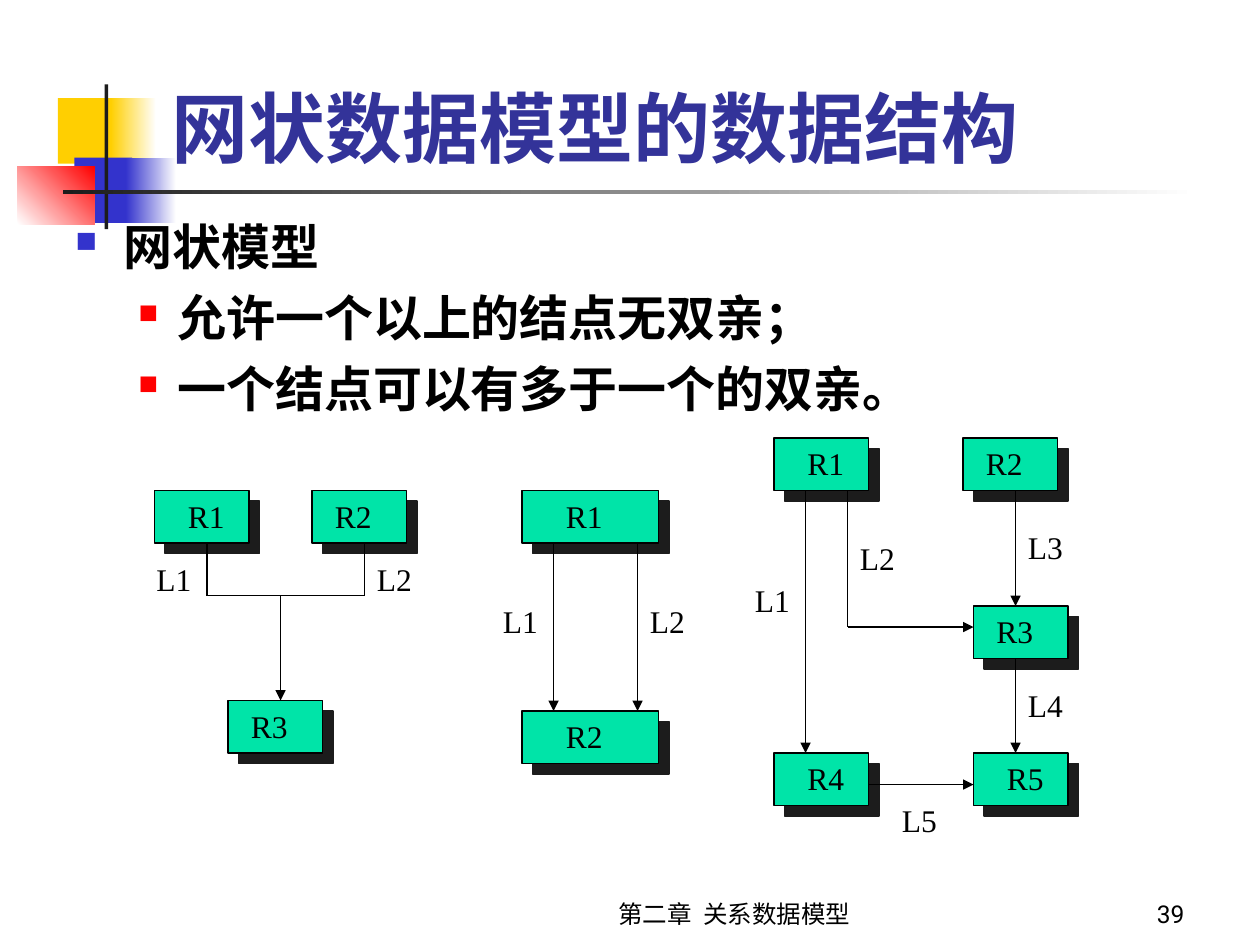
import dataclasses

import lxml.etree
import pptx
import pptx.dml.color
import pptx.enum.shapes
import pptx.enum.text
import pptx.oxml
import pptx.oxml.ns
import pptx.util

ALIGN = pptx.enum.text.PP_ALIGN
ANCHOR = pptx.enum.text.MSO_ANCHOR
qn = pptx.oxml.ns.qn


@dataclasses.dataclass(frozen=True)
class Theme:
    title: str = "333399"
    ink: str = "000000"
    dark: str = "1C1C1C"
    yellow: str = "FFCF01"
    blue: str = "3333CC"
    red: str = "FF0000"
    white: str = "FFFFFF"
    record: str = "00E4A8"
    serif: str = "Times New Roman"
    sans: str = "Roboto"
    title_size: int = 44
    body_size: int = 28
    label_size: int = 18
    footer_size: int = 14
    line: float = 0.75


class SlideBuilder:
    CELL, ORIGIN = 1 / 12, 0.06  # diagram grid, inches
    RECORD_H = 5

    def __init__(self, prs, theme):
        self.prs, self.t = prs, theme
        self.s = prs.slides.add_slide(prs.slide_layouts[5])

    def share(self, x, y, w, h):
        """Percentages of the slide's width and height."""
        sw, sh = self.prs.slide_width / 100, self.prs.slide_height / 100
        return [int(v) for v in (x * sw, y * sh, w * sw, h * sh)]

    def at(self, n):
        return pptx.util.Inches(self.ORIGIN + n * self.CELL)

    def span(self, n):
        return pptx.util.Inches(n * self.CELL)

    def rgb(self, colour):
        return pptx.dml.color.RGBColor.from_string(colour)

    def add_text(self, p, text, colour=None, **font):
        r = p.add_run()
        r.text = text
        for name, value in font.items():
            setattr(r.font, name, value)
        r.font.color.rgb = self.rgb(colour or self.t.ink)

    def frame(self, sp, anchor=ANCHOR.TOP):
        tf = sp.text_frame
        settings = {"word_wrap": True, "vertical_anchor": anchor,
                    "auto_size": pptx.enum.text.MSO_AUTO_SIZE.NONE}
        for name, value in settings.items():
            setattr(tf, name, value)
        return tf

    def title(self, text, box):
        sp = self.s.shapes.title
        for name, value in zip(("left", "top", "width", "height"), self.share(*box)):
            setattr(sp, name, value)
        p = self.frame(sp, ANCHOR.BOTTOM).paragraphs[0]
        p.alignment = ALIGN.LEFT
        self.add_text(p, text, self.t.title, name=self.t.serif, bold=True,
                      size=pptx.util.Pt(self.t.title_size))
        sp._element.getparent().append(sp._element)  # in front of the ornament

    def rect(self, box, colour):
        sp = self.s.shapes.add_shape(pptx.enum.shapes.MSO_SHAPE.RECTANGLE, *box)
        sp.shadow.inherit = False
        sp.fill.solid()
        sp.fill.fore_color.rgb = self.rgb(colour)
        sp.line.fill.background()
        return sp

    def ornament(self, box, start, end=None, angle=0):
        sp = self.rect(self.share(*box), start)
        if end:
            sp.fill.gradient()
            sp.fill.gradient_angle = angle
            for stop, colour, pos in zip(sp.fill.gradient_stops, (start, end), (0, 1)):
                stop.color.rgb = self.rgb(colour)
                stop.position = pos

    def bullets(self, box, items):
        tf = self.frame(self.s.shapes.add_textbox(*self.share(*box)))
        # level: bullet colour, bullet size, left margin, hanging indent, alignment
        levels = [(self.t.blue, 60, 0.38, 0.38, ALIGN.LEFT),
                  (self.t.red, 55, 0.81, 0.31, ALIGN.JUSTIFY)]
        for i, (level, text) in enumerate(items):
            colour, size, margin, hang, align = levels[level]
            p = tf.paragraphs[0] if i == 0 else tf.add_paragraph()
            p.level, p.alignment = level, align
            if i:
                p.space_before = pptx.util.Pt(7)
            pPr = p._p.get_or_add_pPr()
            pPr.set("marL", str(pptx.util.Inches(margin)))
            pPr.set("indent", str(-pptx.util.Inches(hang)))
            clr = lxml.etree.SubElement(pPr, qn("a:buClr"))
            lxml.etree.SubElement(clr, qn("a:srgbClr"), val=colour)
            lxml.etree.SubElement(pPr, qn("a:buSzPct"), val=str(size * 1000))
            lxml.etree.SubElement(pPr, qn("a:buChar"), char="■")
            self.add_text(p, text, name=self.t.serif, bold=True,
                          size=pptx.util.Pt(self.t.body_size))

    def footer(self, box, text, align):
        sp = self.s.shapes.add_textbox(*self.share(*box))
        p = self.frame(sp, ANCHOR.BOTTOM).paragraphs[0]
        p.alignment = align
        self.add_text(p, text, name=self.t.sans, size=pptx.util.Pt(self.t.footer_size))

    def record(self, x, y, w):
        box = self.at(x), self.at(y), self.span(w), self.span(self.RECORD_H)
        sp = self.rect(box, self.t.record)
        sp.line.color.rgb = self.rgb(self.t.ink)
        sp.line.width = pptx.util.Pt(self.t.line)
        effects = sp._element.spPr.find(qn("a:effectLst"))
        shadow = lxml.etree.SubElement(
            effects, qn("a:outerShdw"), dist=str(pptx.util.Pt(8.5)),
            dir=str(45 * 60000), algn="ctr", rotWithShape="0")
        lxml.etree.SubElement(shadow, qn("a:srgbClr"), val=self.t.dark)

    def link(self, x1, y1, x2, y2, arrow=True):
        c = self.s.shapes.add_connector(
            pptx.enum.shapes.MSO_CONNECTOR.STRAIGHT, *map(self.at, (x1, y1, x2, y2)))
        c.line.color.rgb = self.rgb(self.t.ink)
        c.line.width = pptx.util.Pt(self.t.line)
        spPr = c._element.spPr
        if arrow:
            lxml.etree.SubElement(spPr.find(qn("a:ln")), qn("a:tailEnd"), type="triangle")
        lxml.etree.SubElement(spPr, qn("a:effectLst"))

    def label(self, text, x, y, w=7):
        sp = self.s.shapes.add_textbox(self.at(x), self.at(y), self.span(w),
                                       pptx.util.Inches(0.4))
        self.add_text(self.frame(sp).paragraphs[0], text, name=self.t.serif,
                      size=pptx.util.Pt(self.t.label_size))


def main():
    prs = pptx.Presentation()
    prs.slide_width, prs.slide_height = pptx.util.Inches(10), pptx.util.Inches(7.5)
    t = Theme()
    b = SlideBuilder(prs, t)

    # Corner ornament and title rule
    for ornament in [
        ((4.6, 10.4, 4.8, 6.93), t.yellow),
        ((8.8, 10.4, 3.6, 6.93), t.yellow, t.white),
        ((5.9, 16.67, 4.6, 6.93), t.blue),
        ((10, 16.67, 4, 6.93), t.blue, t.white),
        ((1.4, 17.6, 6.1, 6.13), t.white, t.red, 45),
        ((8.3, 8.93, 0.3, 15.33), t.dark),
        ((5, 20.13, 90, 0.4), t.dark, t.white),
    ]:
        b.ornament(*ornament)

    # Footer, title and text
    b.footer((38.3, 92.27, 40, 6.67), "第二章  关系数据模型", ALIGN.CENTER)
    b.footer((82.5, 92.27, 12.5, 6.67), "39", ALIGN.RIGHT)
    b.title("网状数据模型的数据结构", (12.6, 5.6, 85.2, 13.33))
    b.bullets((5, 22.27, 90.4, 67.2), [
        (0, "网状模型"),
        (1, "允许一个以上的结点无双亲；"),
        (1, "一个结点可以有多于一个的双亲。"),
    ])

    # Record types: name, column, row, label offset, width
    records = [
        ("R1", 14, 46, 2, 9), ("R2", 29, 46, 1, 9), ("R3", 21, 66, 1, 9),
        ("R1", 49, 46, 3, 13), ("R2", 49, 67, 3, 13),
        ("R1", 73, 41, 2, 9), ("R2", 91, 41, 1, 9), ("R3", 92, 57, 1, 9),
        ("R5", 92, 71, 2, 9), ("R4", 73, 71, 2, 9),
    ]
    for _, x, y, _, w in records:
        b.record(x, y, w)

    # Links: plain joints, then arrows
    for ends in [(19, 51, 19, 56), (19, 56, 34, 56), (34, 51, 34, 56), (80, 46, 80, 59)]:
        b.link(*ends, arrow=False)
    for ends in [(26, 56, 26, 66), (52, 51, 52, 67), (60, 51, 60, 67),
                 (76, 46, 76, 71), (96, 46, 96, 57), (96, 62, 96, 71),
                 (82, 74, 92, 74), (80, 59, 92, 59)]:
        b.link(*ends)

    # Record names and link names
    for name, x, y, offset, _ in records:
        b.label(name, x + offset, y)
    for name, x, y in [("L1", 13, 52), ("L1", 46, 56), ("L1", 70, 54),
                       ("L2", 34, 52), ("L2", 60, 56), ("L2", 80, 50),
                       ("L3", 96, 49), ("L4", 96, 64), ("L5", 84, 75)]:
        b.label(name, x, y, 6)

    prs.save("out.pptx")


if __name__ == "__main__":
    main()
